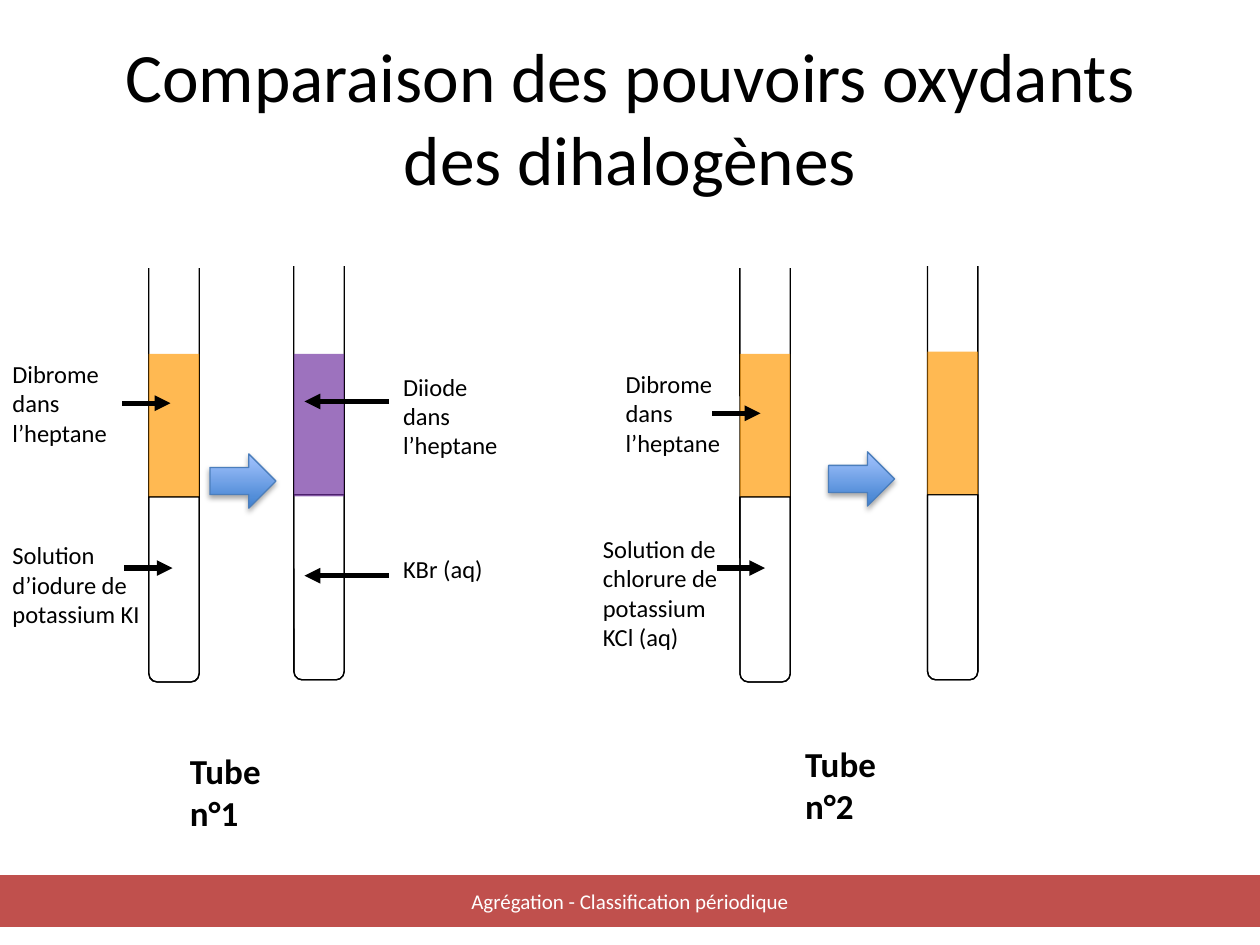
from lxml import etree
from pptx import Presentation
from pptx.dml.color import RGBColor
from pptx.enum import shapes as kinds, text as t
from pptx.oxml.ns import qn
from pptx.util import Pt

FONT = "Calibri"
BLACK, WHITE, RED, BLUE = "000000", "FFFFFF", "C0504D", "4B7EBC"
ORANGE, PURPLE = "FF9900", "7030A0"
BLUE_GRADIENT = ("3F80CE", "A4C4FF")

TITLE = "Comparaison des pouvoirs oxydants des dihalogènes"
FOOTER = "Agrégation - Classification périodique"

TUBE_W, TUBE_H, SOLUTION_H, LAYER_H = 28.8, 247.7, 105.8, 81.4
TUBES = [
    (85, 142, 202.3, ORANGE),
    (422.8, 142, 202.3, ORANGE),
    (167.9, 140.8, 202.3, PURPLE),
    (530, 140.8, 201, ORANGE),
]
LABELS = [
    ("Dibrome dans l’heptane", 0, 201.6, 70, 58.3),
    ("Solution d’iodure de potassium KI", 0, 305.3, 95, 58.3),
    ("Diiode dans l’heptane", 223.2, 208.8, 70, 58.3),
    ("KBr (aq)", 223.2, 313.2, 70, 24.5),
    ("Dibrome dans l’heptane", 350.4, 207.2, 71.3, 58.3),
    ("Solution de chlorure de potassium KCl (aq)", 337.4, 301.5, 85.7, 75),
]
CAPTIONS = [("Tube n°1", 101.4, 425), ("Tube n°2", 453, 421)]
POINTERS = [
    (69.8, 97.4, 230.4),
    (71, 98.6, 324.6),
    (407, 434.6, 236.2),
    (409.6, 437.2, 324.6),
    (222.3, 174, 229.4),
    (222.3, 174, 329),
]
REACTION_ARROWS = [(120, 259.4), (473.5, 258.2)]


def color(hex_string):
    return RGBColor.from_string(hex_string)


def style_text(frame, words, size, font_color=BLACK, bold=False, align=None):
    frame.word_wrap = True
    frame.text = words
    paragraph = frame.paragraphs[0]
    paragraph.alignment = align
    paragraph.font.name = FONT
    paragraph.font.size = Pt(size)
    paragraph.font.bold = bold
    paragraph.font.color.rgb = color(font_color)


def add_shape(kind, left, top, width, height, fill=None, line=None):
    shape = slide.shapes.add_shape(kind, Pt(left), Pt(top), Pt(width), Pt(height))
    shape.shadow.inherit = False
    if fill:
        shape.fill.solid()
        shape.fill.fore_color.rgb = color(fill)
    else:
        shape.fill.background()
    if line:
        shape.line.color.rgb = color(line)
        shape.line.width = Pt(0.75)
    else:
        shape.line.fill.background()
    return shape


def set_alpha(parent, percent):
    srgb = next(parent.iter(qn("a:srgbClr")))
    etree.SubElement(srgb, qn("a:alpha"), val=str(percent * 1000))


def add_tube(left, top, layer_top, layer_color):
    for height in (TUBE_H, SOLUTION_H):
        glass = add_shape(kinds.MSO_SHAPE.ROUND_2_SAME_RECTANGLE, left,
                          top + TUBE_H - height, TUBE_W, height, line=BLACK)
        glass.rotation = 180
    add_shape(kinds.MSO_SHAPE.RECTANGLE, left - TUBE_W / 2, top - 7.4,
              TUBE_W * 2, 18, WHITE, WHITE)
    layer = add_shape(kinds.MSO_SHAPE.RECTANGLE, left, layer_top,
                      TUBE_W, LAYER_H, layer_color)
    set_alpha(layer.element.spPr, 68)


def add_label(words, left, top, width, height, size=14, bold=False):
    box = slide.shapes.add_textbox(Pt(left), Pt(top), Pt(width), Pt(height))
    style_text(box.text_frame, words, size, bold=bold)


def add_pointer(start, end, y):
    pointer = slide.shapes.add_connector(
        kinds.MSO_CONNECTOR.STRAIGHT, Pt(start), Pt(y), Pt(end), Pt(y))
    pointer.line.color.rgb = color(BLACK)
    pointer.line.width = Pt(3)
    etree.SubElement(pointer.line._get_or_add_ln(), qn("a:tailEnd"), type="triangle")
    etree.SubElement(pointer._element.spPr, qn("a:effectLst"))


def add_reaction_arrow(left, top):
    arrow = add_shape(kinds.MSO_SHAPE.RIGHT_ARROW, left, top, 37.7, 31, line=BLUE)
    arrow.fill.gradient()
    arrow.fill.gradient_angle = 90
    for stop, hex_string, position in zip(arrow.fill.gradient_stops, BLUE_GRADIENT, (0, 1)):
        stop.color.rgb = color(hex_string)
        stop.position = position
    effects = arrow.element.spPr.find(qn("a:effectLst"))
    shadow = etree.SubElement(effects, qn("a:outerShdw"), blurRad=str(Pt(3.1)),
                              dist=str(Pt(1.8)), dir="5400000", rotWithShape="0")
    etree.SubElement(shadow, qn("a:srgbClr"), val=BLACK)
    set_alpha(shadow, 35)


deck = Presentation()
deck.slide_width, deck.slide_height = Pt(720), Pt(540)
slide = deck.slides.add_slide(deck.slide_layouts[5])

title = slide.shapes.title
title.left, title.top, title.width, title.height = Pt(36), Pt(21.6), Pt(648), Pt(90)
style_text(title.text_frame, TITLE, 39.6, align=t.PP_ALIGN.CENTER)
title.text_frame.vertical_anchor = t.MSO_ANCHOR.MIDDLE

for tube in TUBES:
    add_tube(*tube)
for label in LABELS:
    add_label(*label)
for words, left, top in CAPTIONS:
    add_label(words, left, top, 72.7, 55.7, size=20, bold=True)
for pointer in POINTERS:
    add_pointer(*pointer)
for position in REACTION_ARROWS:
    add_reaction_arrow(*position)

footer = add_shape(kinds.MSO_SHAPE.RECTANGLE, 0, 500.4, 720, 28.8, RED, RED)
style_text(footer.text_frame, FOOTER, 12, WHITE, align=t.PP_ALIGN.CENTER)
footer.text_frame.vertical_anchor = t.MSO_ANCHOR.MIDDLE

deck.save("out.pptx")
